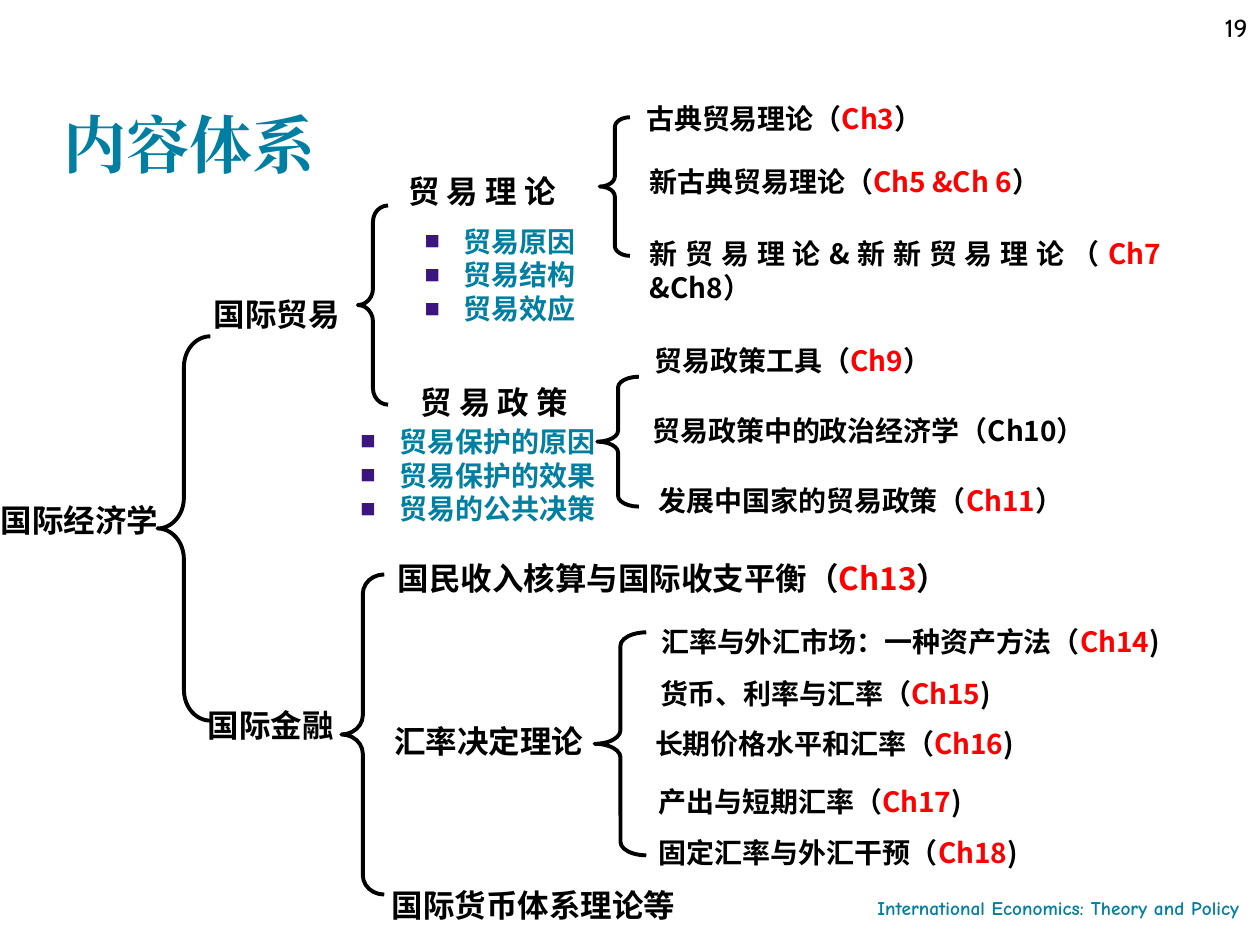
import pptx
import pptx.dml.color
import pptx.enum.shapes
import pptx.enum.text
import pptx.oxml
import pptx.oxml.ns
import pptx.util

Pt = pptx.util.Pt
ALIGN = pptx.enum.text.PP_ALIGN
ANCHOR = pptx.enum.text.MSO_ANCHOR
SHAPE = pptx.enum.shapes.MSO_SHAPE


def color(value):
    return pptx.dml.color.RGBColor.from_string(value)


def add_run(paragraph, text, font="Noto Sans CJK SC", size=16, fill="000000", bold=True):
    run = paragraph.add_run()
    run.text = text
    run.font.name = font
    run.font.size = Pt(size)
    run.font.bold = bold
    run.font.color.rgb = color(fill)
    east_asian = pptx.oxml.parse_xml(
        f'<a:ea {pptx.oxml.ns.nsdecls("a")} typeface="{font}"/>')
    run.font._element.find(pptx.oxml.ns.qn("a:latin")).addnext(east_asian)


class ContentSlide:
    teal = "007FA3"
    red = "FF0000"
    black = "000000"
    white = "FFFFFF"
    bullet_color = "3C1581"
    line_ratio = 1.2

    def __init__(self, presentation):
        self.slide = presentation.slides.add_slide(presentation.slide_layouts[3])

    def place(self, shape, left, top, width, height):
        shape.left, shape.top = Pt(left), Pt(top)
        shape.width, shape.height = Pt(width), Pt(height)

    def frame(self, shape, anchor=ANCHOR.TOP, inset=None):
        frame = shape.text_frame
        frame.word_wrap = True
        frame.auto_size = pptx.enum.text.MSO_AUTO_SIZE.NONE
        frame.vertical_anchor = anchor
        if inset is not None:
            frame.margin_left = frame.margin_right = Pt(inset)
            frame.margin_top = frame.margin_bottom = Pt(inset)
        return frame

    def title(self, text, box):
        shape = self.slide.shapes.title
        self.place(shape, *box)
        paragraph = self.frame(shape, ANCHOR.BOTTOM, 0).paragraphs[0]
        paragraph.alignment = ALIGN.LEFT
        add_run(paragraph, text, font="Times New Roman", size=36, fill=self.teal)

    def note(self, text, box, anchor, inset=None, **style):
        shape = self.slide.shapes.add_textbox(*map(Pt, box))
        paragraph = self.frame(shape, anchor, inset).paragraphs[0]
        paragraph.alignment = ALIGN.RIGHT
        add_run(paragraph, text, **style)

    def label(self, parts, left, top, width, size=18, align=ALIGN.JUSTIFY, height=29):
        shape = self.slide.shapes.add_textbox(*map(Pt, (left, top, width, height)))
        self.fill_text(shape, parts, size, align)

    def panel(self, text, left, top, width, height):
        shape = self.slide.shapes.add_shape(
            SHAPE.RECTANGLE, *map(Pt, (left, top, width, height)))
        shape.shadow.inherit = False
        shape.fill.solid()
        shape.fill.fore_color.rgb = color(self.white)
        shape.line.fill.background()
        self.fill_text(shape, [text], 18, ALIGN.LEFT)

    def fill_text(self, shape, parts, size, align):
        paragraph = self.frame(shape).paragraphs[0]
        paragraph.alignment = align
        paragraph.line_spacing = Pt(size * self.line_ratio)
        for index, part in enumerate(parts):
            add_run(paragraph, part, size=size, fill=self.red if index == 1 else self.black)

    def brace(self, left, top, width, height, curve):
        shape = self.slide.shapes.add_shape(
            SHAPE.LEFT_BRACE, *map(Pt, (left, top, width, height)))
        shape.adjustments[0] = curve
        shape.shadow.inherit = False
        shape.fill.background()
        shape.line.color.rgb = color(self.black)
        shape.line.width = Pt(2.25)

    def bullets(self, index, items, box):
        shape = self.slide.placeholders[index]
        self.place(shape, *box)
        frame = self.frame(shape)
        for number, item in enumerate(items):
            paragraph = frame.paragraphs[0] if number == 0 else frame.add_paragraph()
            paragraph.level = 1
            self.bullet(paragraph)
            paragraph.alignment = ALIGN.LEFT
            paragraph.space_before = Pt(0)
            paragraph.line_spacing = Pt(16 * self.line_ratio)
            add_run(paragraph, item, fill=self.teal)

    def bullet(self, paragraph):
        properties = paragraph._p.get_or_add_pPr()
        properties.set("marL", str(Pt(58.5)))
        properties.set("indent", str(Pt(-22.5)))
        for element in (
            f'<a:buClr {{}}><a:srgbClr val="{self.bullet_color}"/></a:buClr>',
            '<a:buSzPct {} val="55000"/>',
            '<a:buFont {} typeface="Noto Sans CJK SC"/>',
            '<a:buChar {} char="■"/>',
        ):
            properties.append(pptx.oxml.parse_xml(
                element.format(pptx.oxml.ns.nsdecls("a"))))


def main():
    presentation = pptx.Presentation()
    presentation.slide_width, presentation.slide_height = Pt(720), Pt(540)
    page = ContentSlide(presentation)

    page.title("内容体系", (36, 17.3, 648, 86.4))
    page.note("International Economics: Theory and Policy", (462.2, 503.3, 246.2, 22.3),
              ANCHOR.BOTTOM, 0, font="Comic Neue", size=11, fill=page.teal)
    page.note("19", (676.8, 8.6, 43.2, 14.4), ANCHOR.MIDDLE,
              font="Cabin", size=14, bold=False)

    page.panel("汇率决定理论", 218.2, 409, 139, 30.2)
    page.panel("国际货币体系理论等", 216.7, 502.6, 191.5, 25.9)

    for text, left, top, width in (
        ("国际经济学", -6.5, 283, 124.6),
        ("国际贸易", 115.2, 164.9, 110.2),
        ("国际金融", 111.6, 399.6, 96.5),
        ("贸 易 理 论", 226.1, 95, 138.2),
        ("贸 易 政 策", 233.3, 215.3, 138.2),
    ):
        page.label([text], left, top, width)
    page.label(["国民收入核算与国际收支平衡（", "Ch13", "）"],
               220.3, 316.1, 354.2, align=ALIGN.LEFT)

    for left, top, width, *parts in (
        (362.2, 54.7, 208, "古典贸易理论（", "Ch3", "）"),
        (364.3, 90.7, 253.4, "新古典贸易理论（", "Ch5 &Ch 6", "）"),
        (364.3, 131.8, 306, "新贸易理论&新新贸易理论（", "Ch7", " &Ch8）"),
        (367.2, 193, 206.6, "贸易政策工具（", "Ch9", "）"),
        (365.8, 232.6, 270, "贸易政策中的政治经济学（Ch10）"),
        (369.4, 272.9, 253.4, "发展中国家的贸易政策（", "Ch11", "）"),
        (370.8, 353.5, 306, "汇率与外汇市场：一种资产方法（", "Ch14", ")"),
        (370.1, 383, 230.4, "货币、利率与汇率（", "Ch15", ")"),
        (367.2, 411.8, 289.4, "长期价格水平和汇率（", "Ch16", ")"),
        (369.4, 445, 289.4, "产出与短期汇率（", "Ch17", ")"),
        (369.4, 473.8, 289.4, "固定汇率与外汇干预（", "Ch18", ")"),
    ):
        page.label(parts, left, top, width, size=16,
                   height=41 if "新新" in parts[0] else 29)

    for brace in (
        (90, 192.2, 30.2, 219.6, 0.58),
        (204.5, 117.4, 17.3, 113.8, 0.54),
        (195.1, 328.3, 24.5, 182.9, 0.45),
        (342.7, 67, 17.3, 79.2, 0.33),
        (341.3, 215.3, 23.8, 74.2, 0.26),
        (339.8, 361.4, 29.5, 127.4, 0.26),
    ):
        page.brace(*brace)

    page.bullets(1, ("贸易原因", "贸易结构", "贸易效应"), (199.4, 124.6, 172.1, 65.5))
    page.bullets(2, ("贸易保护的原因", "贸易保护的效果", "贸易的公共决策"),
                 (162.7, 239, 186.5, 65.5))
    presentation.save("out.pptx")


if __name__ == "__main__":
    main()
